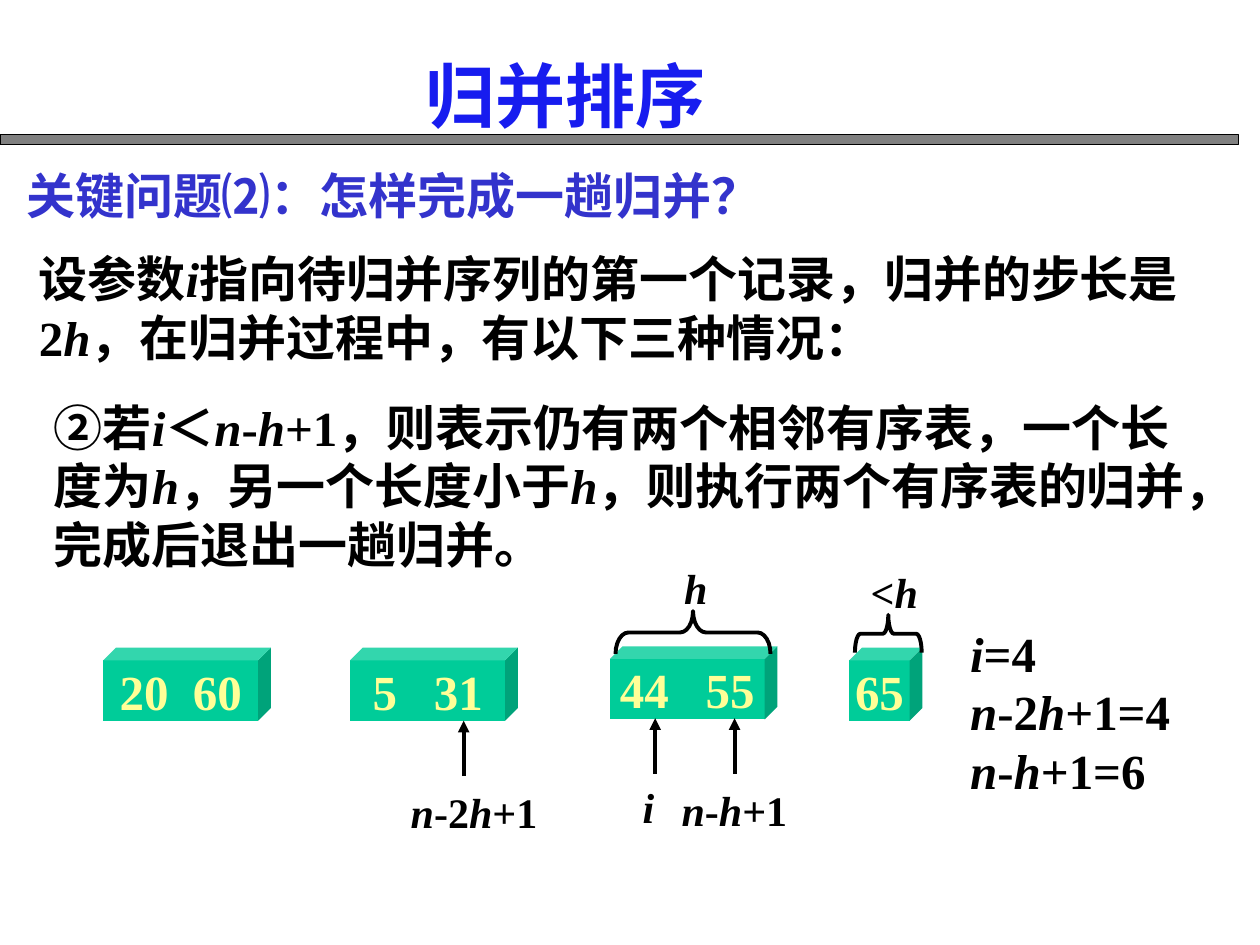
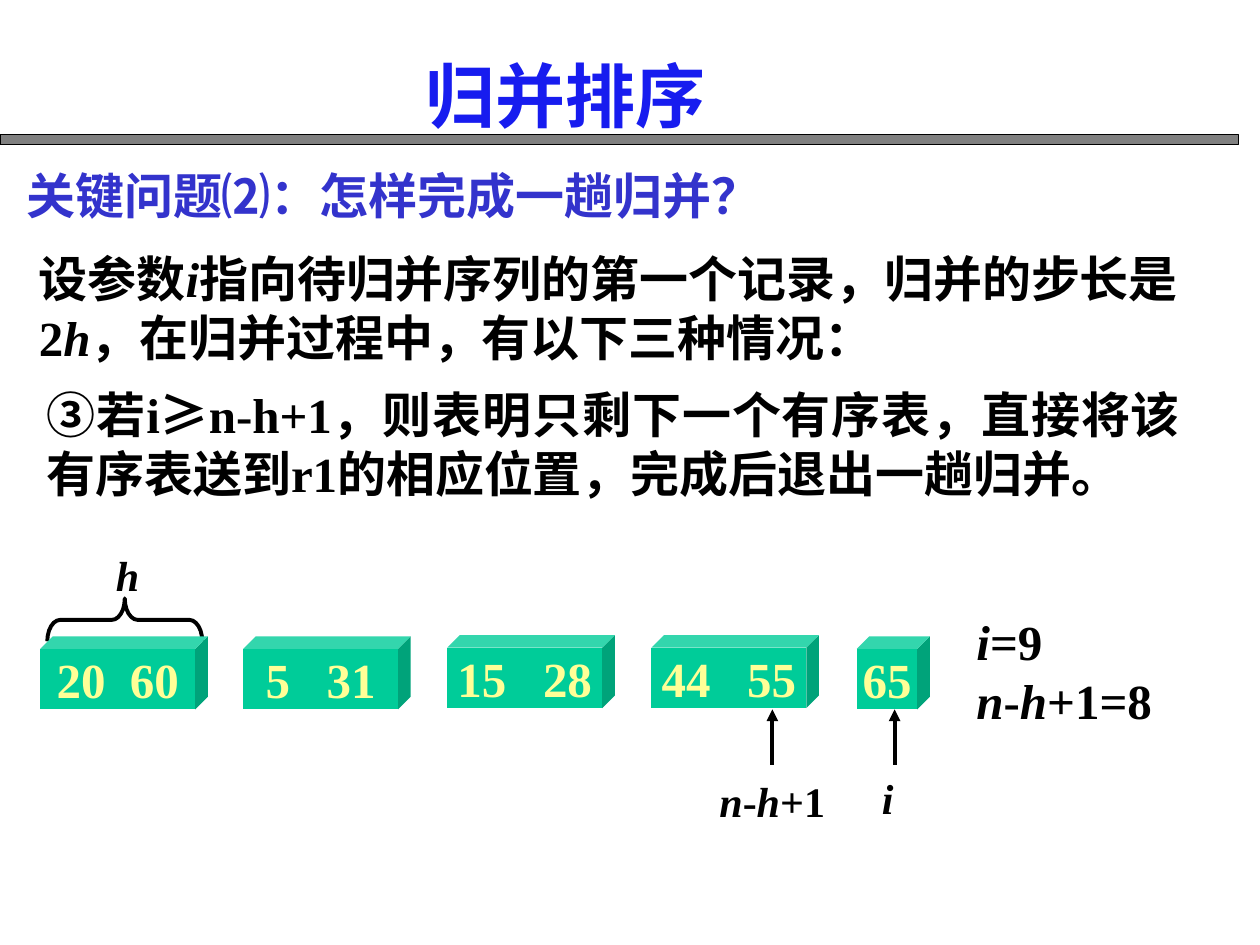
from itertools import groupby

from lxml import etree
from pptx import Presentation, util as u
from pptx.dml.color import RGBColor
from pptx.enum import shapes, text
from pptx.oxml import ns

# Shared content
TITLE = "归并排序"
QUESTION = "关键问题⑵：怎样完成一趟归并？"
# Asterisks enclose italic variables
INTRO = "设参数*i*指向待归并序列的第一个记录，归并的步长是2*h*，在归并过程中，有以下三种情况："

# Each slide's diagram parts are drawn in the order listed
SLIDES = [
    {
        "case": (0.33, 3.06, 9.37, 1.5,
                 "②若*i*＜*n*-*h*+1，则表示仍有两个相邻有序表，一个长度为*h*，"
                 "另一个长度小于*h*，则执行两个有序表的归并，完成后退出一趟归并。",
                 text.PP_ALIGN.LEFT),
        "values": (7.7, 4.93, ["*i*=4", "*n*-2*h*+1=4", "*n*-*h*+1=6"]),
        # left, top, wide, numbers
        "blocks": [(0.82, 5.14, True, "20  60"), (2.78, 5.14, True, "5   31"),
                   (4.84, 5.13, True, "44   55"), (6.74, 5.14, False, "65")],
        # tip x, tip y, label
        "arrows": [(5.2, 5.7, "*i*"), (3.68, 5.72, "*n*-2*h*+1"),
                   (5.83, 5.7, "*n*-*h*+1")],
        # centre x, top, span, depth, label
        "braces": [(5.5, 4.85, 1.23, 0.34, "*h*"), (7.05, 4.88, 0.53, 0.3, "<*h*")],
    },
    {
        "case": (0.27, 2.96, 9.2, 1.5,
                 "③若i≥n-h+1，则表明只剩下一个有序表，直接将该有序表送到r1"
                 "的相应位置，完成后退出一趟归并。",
                 text.PP_ALIGN.JUSTIFY),
        "values": (7.75, 4.84, ["*i*=9", "*n*-*h*+1=8"]),
        "braces": [(0.99, 4.75, 1.23, 0.34, "*h*")],
        "blocks": [(0.32, 5.05, True, "20  60"), (1.93, 5.05, True, "5   31"),
                   (3.55, 5.04, True, "15   28"), (5.17, 5.04, True, "44   55"),
                   (6.8, 5.05, False, "65")],
        "arrows": [(7.1, 5.63, "*i*"), (6.13, 5.63, "*n*-*h*+1")],
    },
]

# Shared style
CJK, SERIF = "Noto Sans CJK SC", "Times New Roman"
BLACK, BLUE, INDIGO = "000000", "171CEF", "3333CC"
GREEN, YELLOW, GREY = "00CC99", "FFFF97", "808080"
BIG, BODY, LABEL = 40, 28, 24
LINE_RATIO = 1.2
ARROW_LENGTH = 0.44
BLOCK_HEIGHT = 0.58


def rgb(value):
    return RGBColor.from_string(value)


def inches(*values):
    return [u.Inches(v) for v in values]


def add_child(parent, tag, **attributes):
    return etree.SubElement(parent, ns.qn(tag), attributes)


def style_run(r, size, color, font=SERIF, italic=False):
    r.font.size, r.font.bold, r.font.italic = u.Pt(size), True, italic
    r.font.color.rgb = rgb(color)
    r.font.name = font
    east = etree.Element(ns.qn("a:ea"), typeface=CJK)
    r.font._element.find(ns.qn("a:latin")).addnext(east)


def write(p, marked, size, color, font):
    for i, piece in enumerate(marked.split("*")):
        for is_symbol, chars in groupby(piece, lambda c: c == "≥"):
            r = p.add_run()
            r.text = "".join(chars)
            style_run(r, size, color, CJK if is_symbol else font, i % 2 == 1)


def add_text(s, box, lines, size=BODY, color=BLACK, font=SERIF,
             align=text.PP_ALIGN.LEFT, inset=(0.1, 0.05)):
    left, top, width, height = box
    # Fixed line spacing raises the baseline; fonts with deep descent more so
    has_cjk = any(ord(c) > 0x2FFF for line in lines for c in line)
    top += (0.11 if has_cjk else 0.04) * size / 72
    sp = s.shapes.add_textbox(*inches(left, top, width, height))
    tf = sp.text_frame
    tf.word_wrap = True
    tf.margin_left = tf.margin_right = u.Inches(inset[0])
    tf.margin_top = tf.margin_bottom = u.Inches(inset[1])
    for i, line in enumerate(lines):
        p = tf.add_paragraph() if i else tf.paragraphs[0]
        p.alignment = align
        p.line_spacing = u.Pt(size * LINE_RATIO)
        write(p, line, size, color, font)
    return sp


def add_label(s, left, top, width, label):
    add_text(s, (left, top, width, 0.4), [label], LABEL, inset=(0, 0))


def add_title(s):
    sp = add_text(s, (3.28, 0.31, 3.17, 0.77), [TITLE], BIG, BLUE, CJK)
    fill = sp.text_frame.paragraphs[0].runs[0].font._element.find(ns.qn("a:solidFill"))
    effects = etree.Element(ns.qn("a:effectLst"))
    shadow = add_child(effects, "a:outerShdw", dist="35921", dir="2700000")
    add_child(shadow, "a:srgbClr", val=GREY)
    fill.addnext(effects)


def add_band(s):
    sp = s.shapes.add_shape(shapes.MSO_SHAPE.RECTANGLE, *inches(0, 1.07, 9.83, 0.08))
    sp.shadow.inherit = False
    sp.fill.solid()
    sp.fill.fore_color.rgb = rgb(GREY)
    sp.line.color.rgb = rgb(BLACK)
    sp.line.width = u.Pt(0.75)


def add_block(s, left, top, wide, numbers):
    width = 1.33 if wide else BLOCK_HEIGHT
    sp = s.shapes.add_shape(shapes.MSO_SHAPE.CUBE,
                            *inches(left, top, width, BLOCK_HEIGHT))
    sp.adjustments[0] = 0.173
    sp.shadow.inherit = False
    sp.fill.solid()
    sp.fill.fore_color.rgb = rgb(GREEN)
    sp.line.fill.background()
    tf = sp.text_frame
    tf.text = numbers
    tf.word_wrap = False
    tf.vertical_anchor = text.MSO_ANCHOR.MIDDLE
    p = tf.paragraphs[0]
    p.alignment = text.PP_ALIGN.CENTER
    style_run(p.runs[0], BODY, YELLOW)


def add_arrow(s, x, tip, label):
    foot = tip + ARROW_LENGTH
    line = s.shapes.add_connector(shapes.MSO_CONNECTOR.STRAIGHT,
                                  *inches(x, foot, x, tip))
    line.line.color.rgb = rgb(BLACK)
    line.line.width = u.Pt(2.25)
    add_child(line.line._get_or_add_ln(), "a:tailEnd", type="triangle")
    add_child(line._element.spPr, "a:effectLst")
    if label == "*i*":
        add_label(s, x - 0.1, foot + 0.05, 0.2, label)
    else:
        add_label(s, x - 0.42, foot + 0.07, 1.13, label)


def add_brace(s, center, top, span, depth, label):
    # A left brace turned a quarter, so its box is placed before rotation
    sp = s.shapes.add_shape(
        shapes.MSO_SHAPE.LEFT_BRACE,
        *inches(center - depth / 2, top + depth / 2 - span / 2, depth, span))
    sp.rotation = 90
    sp.adjustments[0] = span / depth / 12
    sp.shadow.inherit = False
    sp.fill.background()
    sp.line.color.rgb = rgb(BLACK)
    sp.line.width = u.Pt(2.25)
    add_label(s, center - 0.07 * len(label.replace("*", "")), top - 0.4, 0.49, label)


DRAW = {"blocks": add_block, "arrows": add_arrow, "braces": add_brace}


def build_slide(prs, content):
    s = prs.slides.add_slide(prs.slide_layouts[6])
    # Heading shared by both slides
    add_band(s)
    add_title(s)
    add_text(s, (0.11, 1.22, 9.61, 0.57), [QUESTION], color=INDIGO, font=CJK)
    add_text(s, (0.21, 1.88, 9.52, 1.04), [INTRO])
    # The case and its parameter values
    *box, case, align = content["case"]
    add_text(s, box, [case], align=align)
    left, top, lines = content["values"]
    add_text(s, (left, top, 1.87, 0.47 * len(lines)), lines, inset=(0, 0))
    # Diagram
    for kind, parts in content.items():
        if kind in DRAW:
            for part in parts:
                DRAW[kind](s, *part)


def main():
    prs = Presentation()
    prs.slide_width, prs.slide_height = inches(10, 7.5)
    for content in SLIDES:
        build_slide(prs, content)
    prs.save("out.pptx")


if __name__ == "__main__":
    main()
